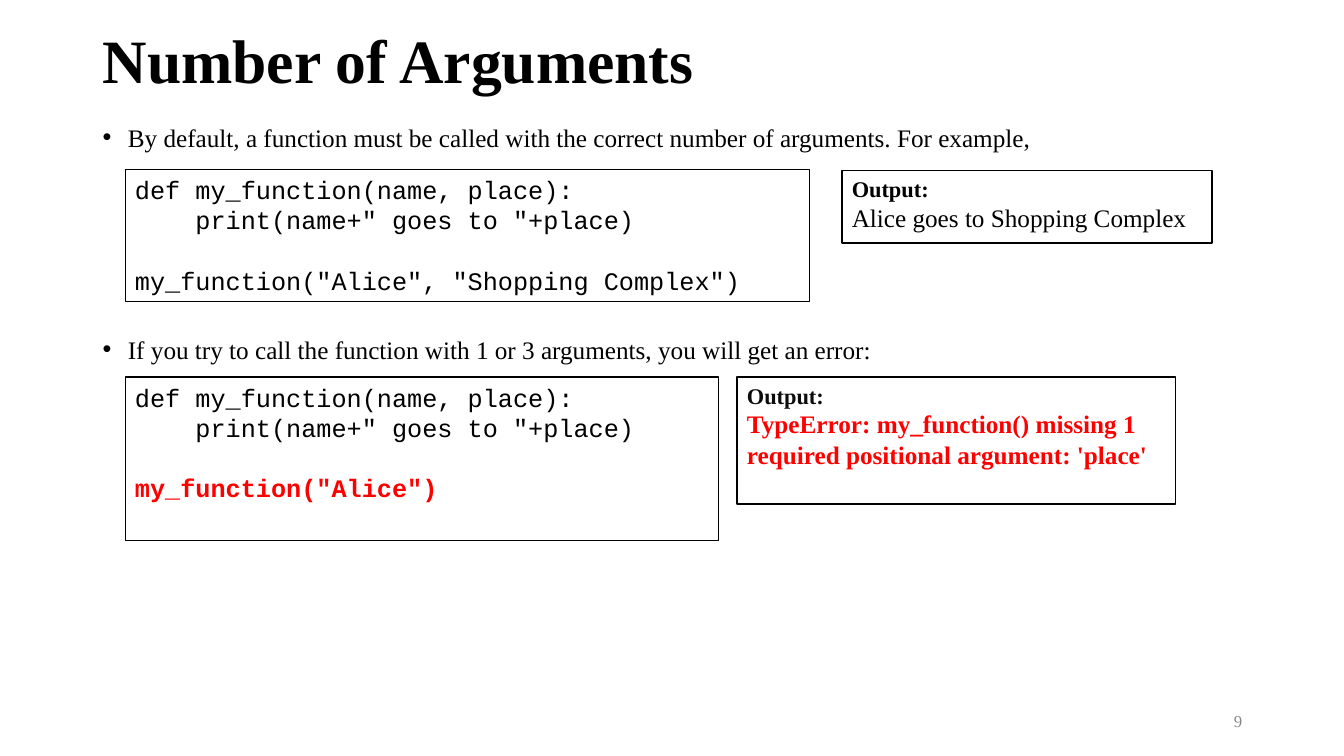
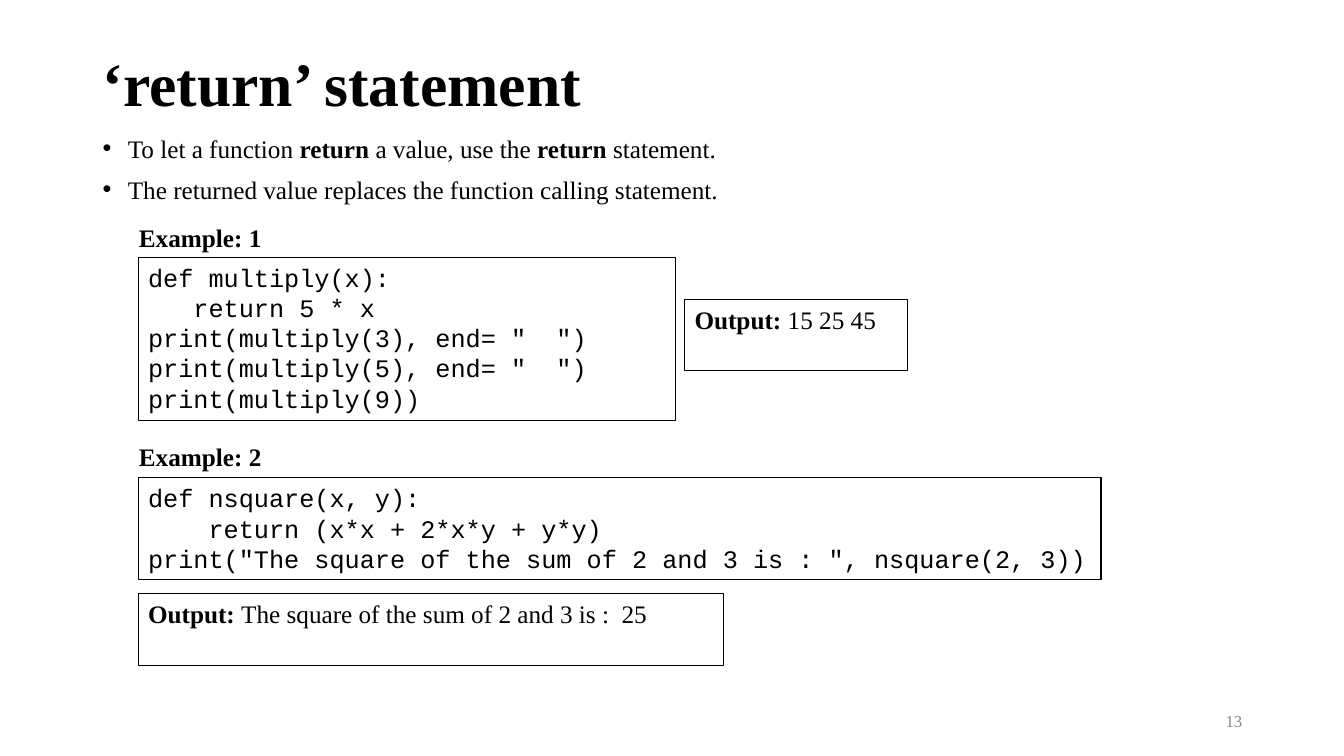
from pptx import Presentation
from pptx.dml.color import RGBColor
from pptx.enum.shapes import MSO_SHAPE
from pptx.enum.text import MSO_ANCHOR, PP_ALIGN
from pptx.oxml.ns import qn
from pptx.util import Inches, Pt
from lxml import etree

RECTANGLE = MSO_SHAPE.RECTANGLE
TOP, MIDDLE = MSO_ANCHOR.TOP, MSO_ANCHOR.MIDDLE
LEFT, RIGHT = PP_ALIGN.LEFT, PP_ALIGN.RIGHT

# Shared style
SERIF, MONO = "Times New Roman", "Courier New"
BLACK, RED, GREY, INK = "000000", "FF0000", "888888", "0C0C0C"
LINE_HEIGHT = 1.2    # line pitch as a multiple of the text size
TIGHT = 0.9          # closer line pitch of titles and bullets
CODE_SIZE = 18
CODE_CHAR = 0.15     # width of one code character in inches


def colour(value):
    return RGBColor.from_string(value)


def add_text(page, at, paragraphs, border=None, anchor=TOP, align=LEFT, font=SERIF, tight=1):
    """Each paragraph holds runs (text, size, bold, colour), and may hold before, indent, bullet."""
    place = [Inches(value) for value in at]
    if border:
        box = page.shapes.add_shape(RECTANGLE, *place)
        box.shadow.inherit = False
        box.fill.background()
        box.line.color.rgb = colour(BLACK)
        box.line.width = Pt(border)
    else:
        box = page.shapes.add_textbox(*place)
    frame = box.text_frame
    frame.word_wrap = True
    frame.vertical_anchor = anchor
    for number, item in enumerate(paragraphs):
        para = frame.paragraphs[0] if number == 0 else frame.add_paragraph()
        para.alignment = align
        para.space_before = Pt(item.get("before", 0))
        para.line_spacing = Pt(item["runs"][0][1] * LINE_HEIGHT * tight)
        properties = para._p.get_or_add_pPr()
        properties.set("marL", str(Inches(item.get("indent", 0))))
        if item.get("bullet"):
            properties.set("indent", str(-Inches(item["indent"])))
            etree.SubElement(properties, qn("a:buFont")).set("typeface", "Arial")
            etree.SubElement(properties, qn("a:buChar")).set("char", "•")
        for text, size, bold, tint in item["runs"]:
            span = para.add_run()
            span.text = text
            span.font.name = font
            span.font.size = Pt(size)
            span.font.bold = bold
            span.font.color.rgb = colour(tint)


# Content: bullets are (space before, [(text, bold)]), code is (place, lines, red line)
pages = [
    {
        "title": "Number of Arguments", "title_height": 0.44, "number": "9", "body_top": 1.19,
        "bullets": [
            (0, [("By default, a function must be called with the correct number of arguments. "
                  "For example,", False)]),
            (132, [("If you try to call the function with 1 or 3 arguments, "
                    "you will get an error:", False)]),
        ],
        "labels": [],
        "code": [
            ((1.24, 1.68, 6.79, 1.31),
             ["def my_function(name, place):", '    print(name+" goes to "+place)', "",
              'my_function("Alice", "Shopping Complex")'], None),
            ((1.24, 3.74, 5.89, 1.62),
             ["def my_function(name, place):", '    print(name+" goes to "+place)', "",
              'my_function("Alice")'], 3),
        ],
        "outputs": [
            ((8.35, 1.69, 3.67, 0.72), 1,
             [[("Output:", 16, True, BLACK)],
              [("Alice goes to Shopping Complex", 18, False, BLACK)]]),
            ((7.31, 3.74, 4.35, 1.26), 1,
             [[("Output:", 16, True, INK)],
              [("TypeError: my_function() missing 1 required positional argument: 'place'",
                18, True, RED)]]),
        ],
    },
    {
        "title": "‘return’ statement", "title_height": 0.9, "number": "13", "body_top": 1.3,
        "bullets": [
            (0, [("To let a function ", False), ("return", True), (" a value, use the ", False),
                 ("return ", True), ("statement.", False)]),
            (10, [("The returned value replaces the function calling statement.", False)]),
        ],
        "labels": [("Example: 1", 2.16), ("Example: 2", 4.33)],
        "code": [
            ((1.37, 2.55, 5.33, 1.62),
             ["def multiply(x):", "   return 5 * x", 'print(multiply(3), end= "  ")',
              'print(multiply(5), end= "  ")', "print(multiply(9))"], None),
            ((1.37, 4.74, 9.55, 1.01),
             ["def nsquare(x, y):", "    return (x*x + 2*x*y + y*y)",
              'print("The square of the sum of 2 and 3 is : ", nsquare(2, 3))'], None),
        ],
        "outputs": [
            ((6.79, 2.97, 2.21, 0.71), 0.75,
             [[("Output: ", 18, True, BLACK), ("15 25 45", 18, False, BLACK)]]),
            ((1.37, 5.89, 5.81, 0.71), 0.75,
             [[("Output: ", 18, True, BLACK),
               ("The square of the sum of 2 and 3 is :  25", 18, False, BLACK)]]),
        ],
    },
]

deck = Presentation()
deck.slide_width, deck.slide_height = Inches(13.33), Inches(7.5)

for content in pages:
    page = deck.slides.add_slide(deck.slide_layouts[6])

    # Title, bullets and page number
    add_text(page, (0.92, 0.4, 11.5, content["title_height"]),
             [{"runs": [(content["title"], 44, True, BLACK)]}], anchor=MIDDLE, tight=TIGHT)
    bullets = [{"runs": [(text, 18, bold, BLACK) for text, bold in runs],
                "before": before, "indent": 0.25, "bullet": True}
               for before, runs in content["bullets"]]
    add_text(page, (0.92, content["body_top"], 11.5, 6.76 - content["body_top"]),
             bullets, tight=TIGHT)
    add_text(page, (9.42, 6.95, 3, 0.4), [{"runs": [(content["number"], 12, False, GREY)]}],
             anchor=MIDDLE, align=RIGHT)

    # Example labels
    for label, top in content["labels"]:
        add_text(page, (1.28, top, 5.33, 0.4), [{"runs": [(label, 18, True, BLACK)]}])

    # Code: leading spaces become an indent, an empty line becomes space before the next
    for place, lines, red_line in content["code"]:
        paragraphs = []
        gap = 0
        for index, line in enumerate(lines):
            if not line:
                gap = CODE_SIZE * LINE_HEIGHT
                continue
            statement = line.lstrip()
            marked = index == red_line
            paragraphs.append({
                "runs": [(statement, CODE_SIZE, marked, RED if marked else BLACK)],
                "indent": CODE_CHAR * (len(line) - len(statement)), "before": gap})
            gap = 0
        add_text(page, place, paragraphs, border=0.75, font=MONO)

    # Output boxes
    for place, border, rows in content["outputs"]:
        add_text(page, place, [{"runs": runs} for runs in rows], border=border)

deck.save("out.pptx")
